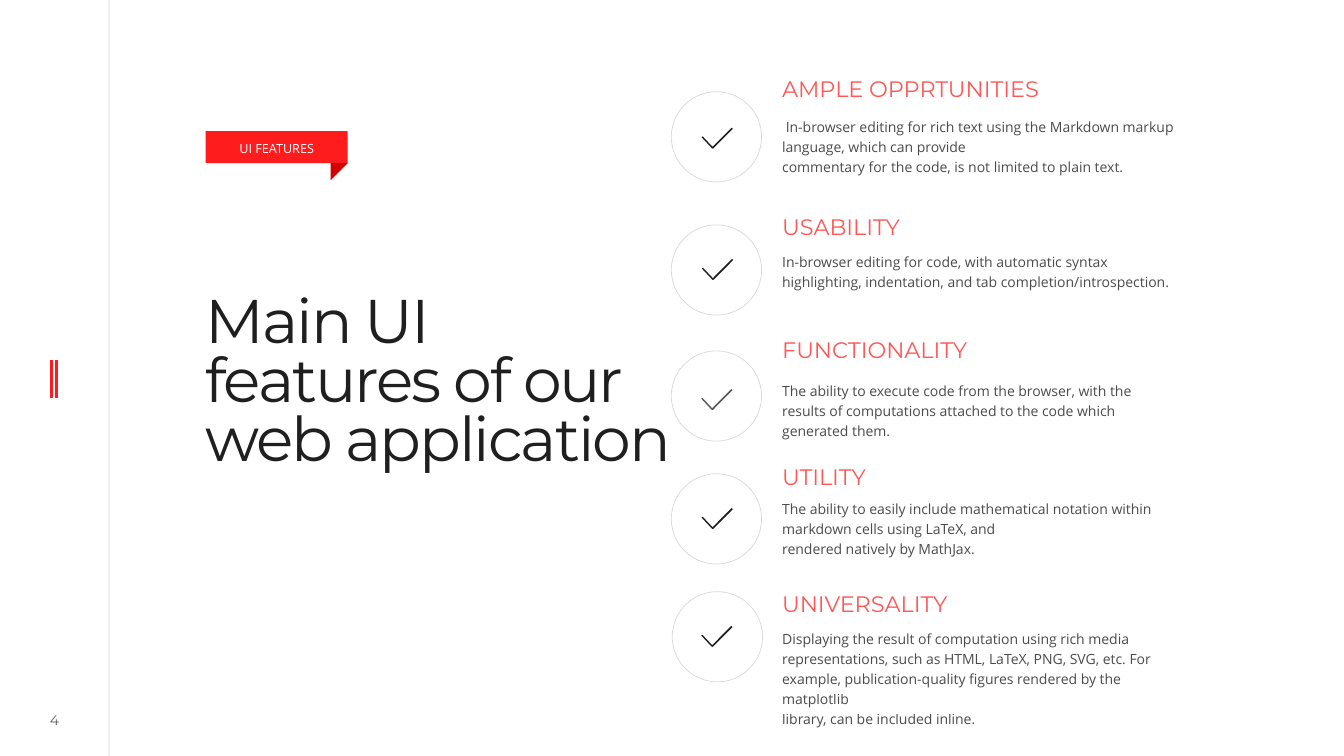
"""Build the slide on the main UI features of the web application."""
from dataclasses import dataclass

from pptx import Presentation
from pptx.dml.color import RGBColor
from pptx.enum.shapes import MSO_CONNECTOR, MSO_SHAPE
from pptx.enum.text import MSO_ANCHOR, MSO_AUTO_SIZE, PP_ALIGN
from pptx.oxml.ns import qn
from pptx.oxml.xmlchemy import OxmlElement
from pptx.util import Pt

TITLE = "Main UI features of our web application"
BADGE = "UI FEATURES"
PAGE = "4"
FEATURES = [
    ("AMPLE OPPRTUNITIES",
     [" In-browser editing for rich text using the Markdown markup language, which can provide",
      "commentary for the code, is not limited to plain text."]),
    ("USABILITY",
     ["In-browser editing for code, with automatic syntax highlighting, indentation, "
      "and tab completion/introspection."]),
    ("FUNCTIONALITY",
     ["The ability to execute code from the browser, with the results of computations "
      "attached to the code which generated them."]),
    ("UTILITY",
     ["The ability to easily include mathematical notation within markdown cells using LaTeX, and",
      "rendered natively by MathJax."]),
    ("UNIVERSALITY",
     ["Displaying the result of computation using rich media representations, such as HTML, "
      "LaTeX, PNG, SVG, etc. For example, publication-quality figures rendered by the matplotlib",
      "library, can be included inline."]),
]


@dataclass(frozen=True)
class Theme:
    head: str = "Montserrat"
    text: str = "Open Sans"
    ink: str = "1F1F1F"
    soft: str = "575757"
    red: str = "FE1C1D"
    fold: str = "D30102"
    coral: str = "FF5757"
    ring: str = "D9D9D9"
    white: str = "FFFFFF"
    title_size: float = 44
    head_size: float = 16
    text_size: float = 10
    badge_size: float = 9


T = Theme()
HEAD_Y = [55.4, 154.1, 241.9, 332.6, 423.4]
TEXT_Y = [78.5, 175, 267.1, 351.4, 444.2]
TEXT_H = [49.7, 35.3, 36, 49.7, 65.5]
RING_X = [479.5, 479.5, 479.5, 479.5, 480.2]
RING_Y = [65.5, 160.6, 250.6, 338.4, 422.6]
TICK_Y = [91.2, 185, 277.9, 362.9, 447.1]
TICK_X = [501.2, 501.4, 500.9, 501.2, 500.9]
TICK_INK = [T.ink, T.ink, T.soft, T.ink, T.ink]
TICK = [(220, 4), (214, 0), (78, 137), (10, 65), (4, 63), (0, 69),
        (74, 148), (79, 150), (84, 148), (222, 9)]
COL_X, COL_W, HEAD_H, RING = 558.7, 282.2, 20.9, 64.5


def rgb(code):
    return RGBColor.from_string(code)


def fade(el, percent):
    for clr in el.iter(qn("a:srgbClr")):
        alpha = OxmlElement("a:alpha")
        alpha.set("val", str(percent * 1000))
        clr.append(alpha)


def write(tf, lines, font, size, color, spacing=1.0, align=PP_ALIGN.LEFT,
          anchor=MSO_ANCHOR.TOP, top=0, bottom=0, alpha=100, fit=MSO_AUTO_SIZE.NONE):
    tf.word_wrap = True
    tf.auto_size = fit
    tf.vertical_anchor = anchor
    tf.margin_left = tf.margin_right = 0
    tf.margin_top, tf.margin_bottom = Pt(top), Pt(bottom)
    for i, line in enumerate(lines):
        p = tf.add_paragraph() if i else tf.paragraphs[0]
        p.alignment, p.line_spacing = align, spacing
        p.space_before = p.space_after = Pt(0)
        r = p.add_run()
        r.text = line
        r.font.name, r.font.size = font, Pt(size)
        r.font.color.rgb = rgb(color)
        if alpha < 100:
            fade(r._r, alpha)


def text_box(s, x, y, w, h, lines, *style, **options):
    sp = s.shapes.add_textbox(Pt(x), Pt(y), Pt(w), Pt(h))
    write(sp.text_frame, lines, *style, **options)


def paint(sp, fill=None, line=None):
    sp.shadow.inherit = False
    if fill:
        sp.fill.solid()
        sp.fill.fore_color.rgb = rgb(fill)
    else:
        sp.fill.background()
    if line:
        sp.line.color.rgb = rgb(line)
        sp.line.width = Pt(0.5)
    else:
        sp.line.fill.background()


def add_shape(s, kind, x, y, w, h, **colors):
    sp = s.shapes.add_shape(kind, Pt(x), Pt(y), Pt(w), Pt(h))
    paint(sp, **colors)
    return sp


def add_rule(s, x, top, end, color, width, alpha=100):
    c = s.shapes.add_connector(MSO_CONNECTOR.STRAIGHT, Pt(x), Pt(top), Pt(x), Pt(end))
    c.line.color.rgb = rgb(color)
    c.line.width = Pt(width)
    c._element.spPr.append(OxmlElement("a:effectLst"))
    if alpha < 100:
        fade(c._element, alpha)


def add_side(s):
    add_rule(s, 77.8, 0, 540, T.ink, 0.5, alpha=20)
    for x in (36.7, 40.3):
        add_rule(s, x, 257, 284.4, T.red, 2)
    text_box(s, 18.7, 505.4, 40.3, 18, [PAGE], T.head, T.text_size, T.ink,
             align=PP_ALIGN.CENTER, anchor=MSO_ANCHOR.MIDDLE, alpha=70)


def add_title(s):
    sp = s.shapes.title
    sp.left, sp.top, sp.width, sp.height = Pt(146.9), Pt(196.6), Pt(333), Pt(146.2)
    write(sp.text_frame, [TITLE], T.head, T.title_size, T.ink, spacing=0.8, top=15)
    sp.text_frame.paragraphs[0].runs[0]._r.get_or_add_rPr().set("spc", "-150")


def add_badge(s):
    sp = add_shape(s, MSO_SHAPE.RECTANGLE, 146.9, 93.6, 101.5, 23, fill=T.red)
    write(sp.text_frame, [BADGE], T.text, T.badge_size, T.white, align=PP_ALIGN.CENTER,
          anchor=MSO_ANCHOR.MIDDLE, top=5, bottom=3.6)
    fold = add_shape(s, MSO_SHAPE.RIGHT_TRIANGLE, 236.2, 116.6, 12.2, 12.2, fill=T.fold)
    fold.rotation = 90


def add_feature(s, i, name, lines):
    add_shape(s, MSO_SHAPE.OVAL, RING_X[i], RING_Y[i], RING, RING, line=T.ring)
    builder = s.shapes.build_freeform(*TICK[0], scale=Pt(1) / 10)
    builder.add_line_segments(TICK[1:], close=True)
    paint(builder.convert_to_shape(Pt(TICK_X[i]), Pt(TICK_Y[i])), fill=TICK_INK[i])
    fitted = dict(top=3.6, bottom=3.6, fit=MSO_AUTO_SIZE.SHAPE_TO_FIT_TEXT)
    text_box(s, COL_X, HEAD_Y[i], COL_W, HEAD_H, [name], T.head, T.head_size, T.coral,
             spacing=0.7, **fitted)
    text_box(s, COL_X, TEXT_Y[i], COL_W, TEXT_H[i], lines, T.text, T.text_size, T.ink,
             spacing=1.2, alpha=80, **fitted)


def main():
    prs = Presentation()
    prs.slide_width, prs.slide_height = Pt(960), Pt(540)
    s = prs.slides.add_slide(prs.slide_layouts[5])
    add_side(s)
    add_title(s)
    add_badge(s)
    for i, (name, lines) in enumerate(FEATURES):
        add_feature(s, i, name, lines)
    prs.save("out.pptx")


if __name__ == "__main__":
    main()
